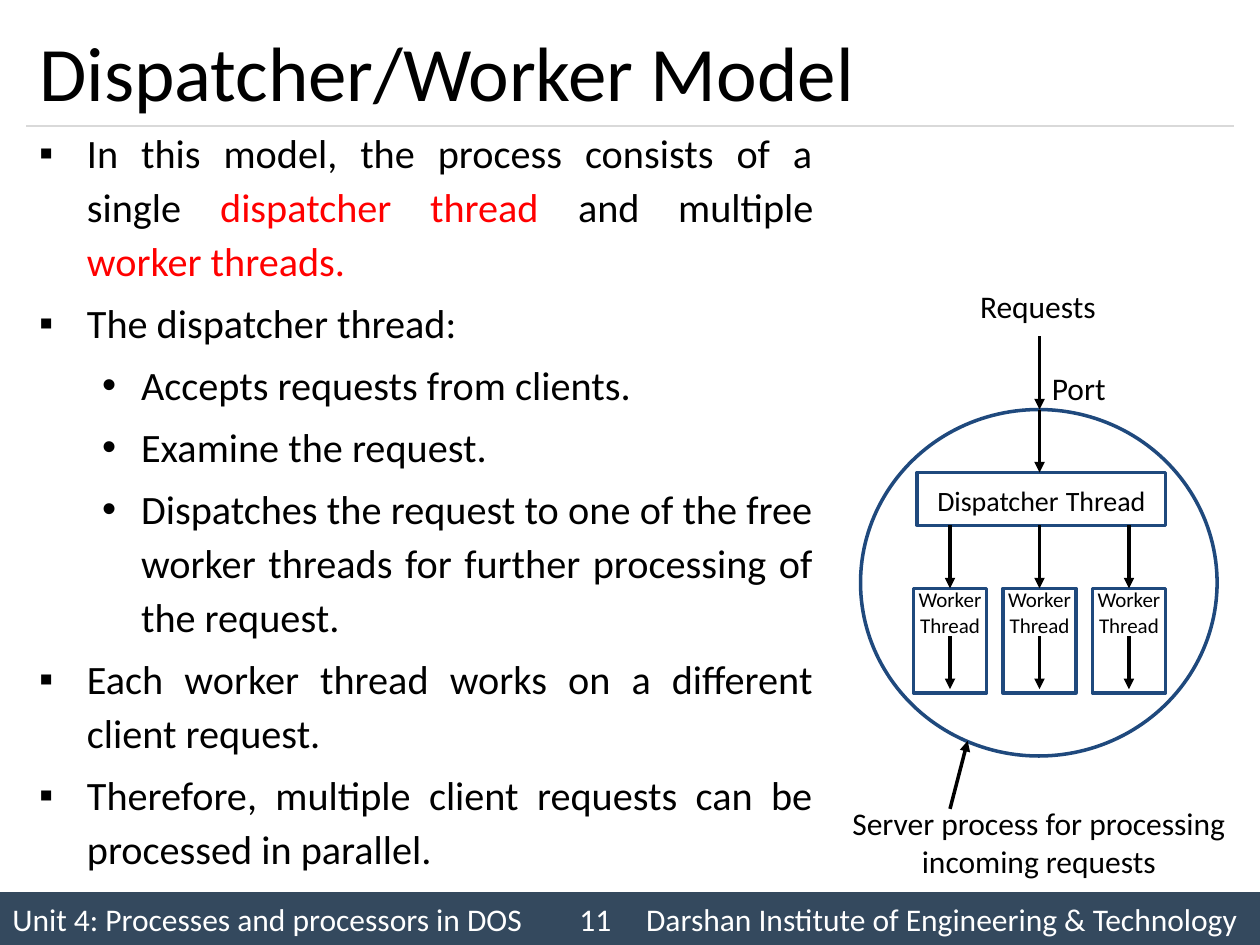
from pptx import Presentation
from pptx.dml.color import RGBColor
from pptx.enum.shapes import MSO_CONNECTOR, MSO_SHAPE
from pptx.enum.text import MSO_ANCHOR, MSO_AUTO_SIZE, PP_ALIGN
from pptx.oxml.ns import qn
from pptx.util import Pt
from lxml.etree import SubElement

EMU_PER_PX = 9144
BLACK, WHITE, RED, NAVY = "000000", "FFFFFF", "FF0000", "1F497D"
SLATE, GREY = "34495E", "D9D9D9"


def px(length):
    """Turn px (100 to the inch) into EMU."""
    return length * EMU_PER_PX


def color(hex_code):
    """Turn a hex string into a colour."""
    return RGBColor.from_string(hex_code)


class SlideBuilder:
    """Hold the style and the current slide."""

    font_name = "Calibri"

    def __init__(self, slide):
        self.slide = slide

    def style(self, paragraph, size, hex_code=BLACK, align=PP_ALIGN.LEFT):
        """Set the alignment and font of a paragraph."""
        paragraph.alignment = align
        font = paragraph.font
        font.name, font.size, font.bold = self.font_name, Pt(size), False
        font.color.rgb = color(hex_code)

    def spaced_words(self, paragraph, words, size):
        """Write centred words parted by a slightly larger space."""
        self.style(paragraph, size, align=PP_ALIGN.CENTER)
        first, second = words.split()
        for word in (first, " ", second):
            run = paragraph.add_run()
            run.text = word
            run.font.size = Pt(size + 2 if word == " " else size)

    def place(self, holder, left, top, width, height):
        """Move and resize a placeholder."""
        holder.left, holder.top = px(left), px(top)
        holder.width, holder.height = px(width), px(height)
        holder.text_frame.auto_size = MSO_AUTO_SIZE.NONE
        return holder.text_frame

    def title(self, words, *box):
        """Fill the title placeholder."""
        frame = self.place(self.slide.shapes.title, *box)
        frame.vertical_anchor = MSO_ANCHOR.MIDDLE
        frame.text = words
        self.style(frame.paragraphs[0], 44)

    def bullets(self, items, *box):
        """Fill the body placeholder with (level, runs) items."""
        frame = self.place(self.slide.placeholders[1], *box)
        frame.vertical_anchor = MSO_ANCHOR.TOP
        looks = [("▪", 38, 38), ("•", 81, 31)]
        for index, (level, runs) in enumerate(items):
            paragraph = frame.add_paragraph() if index else frame.paragraphs[0]
            paragraph.level = level
            paragraph.line_spacing = 1.12
            paragraph.space_before = Pt(4.6 if index else 0)
            mark, margin, hang = looks[level]
            properties = paragraph._p.get_or_add_pPr()
            properties.set("marL", str(px(margin)))
            properties.set("indent", str(-px(hang)))
            SubElement(properties, qn("a:buChar")).set("char", mark)
            self.style(paragraph, 23, align=PP_ALIGN.JUSTIFY)
            for words, hex_code in runs:
                run = paragraph.add_run()
                run.text = words
                run.font.color.rgb = color(hex_code)

    def shape(self, kind, left, top, width, height, fill=WHITE, line=NAVY):
        """Add a filled preset shape and return its text frame."""
        shape = self.slide.shapes.add_shape(
            kind, px(left), px(top), px(width), px(height))
        shape.shadow.inherit = False
        shape.fill.solid()
        shape.fill.fore_color.rgb = color(fill)
        if line:
            shape.line.color.rgb = color(line)
            shape.line.width = Pt(2)
        else:
            shape.line.fill.background()
        shape.text_frame.vertical_anchor = MSO_ANCHOR.MIDDLE
        return shape.text_frame

    def footer(self, parts, stops, *box):
        """Add the footer band with its parts on tab stops."""
        frame = self.shape(MSO_SHAPE.RECTANGLE, *box, fill=SLATE, line=None)
        frame.word_wrap = False
        paragraph = frame.paragraphs[0]
        tabs = SubElement(paragraph._p.get_or_add_pPr(), qn("a:tabLst"))
        for stop in stops:
            tab = SubElement(tabs, qn("a:tab"))
            tab.set("pos", str(px(stop)))
            tab.set("algn", "l")
        paragraph.add_run().text = "\t".join(parts)
        self.style(paragraph, 18, WHITE)

    def label(self, left, top, width, height, wrap=True):
        """Add a text box and return its paragraph."""
        box = self.slide.shapes.add_textbox(
            px(left), px(top), px(width), px(height))
        box.text_frame.word_wrap = wrap
        return box.text_frame.paragraphs[0]

    def caption(self, words, *box, wrap=True, align=PP_ALIGN.LEFT):
        """Add a text box with one plain caption."""
        paragraph = self.label(*box, wrap=wrap)
        paragraph.add_run().text = words
        self.style(paragraph, 18, align=align)

    def line(self, x1, y1, x2, y2, hex_code=BLACK, width=2, arrow=True):
        """Add a straight line, with an arrowhead at its end if wanted."""
        connector = self.slide.shapes.add_connector(
            MSO_CONNECTOR.STRAIGHT, px(x1), px(y1), px(x2), px(y2))
        connector.line.color.rgb = color(hex_code)
        connector.line.width = Pt(width)
        if arrow:
            outline = connector.line._get_or_add_ln()
            SubElement(outline, qn("a:tailEnd")).set("type", "triangle")
        SubElement(connector._element.spPr, qn("a:effectLst"))


def main():
    """Build the slide and save it."""
    deck = Presentation()
    deck.slide_width, deck.slide_height = px(1000), px(750)
    build = SlideBuilder(deck.slides.add_slide(deck.slide_layouts[1]))

    build.footer(
        ["Unit 4: Processes and processors in DOS", "11",
         "Darshan Institute of Engineering & Technology"],
        [450, 503], 0, 708, 1000, 42)
    build.line(21, 100, 979, 100, GREY, 0.75, arrow=False)
    build.title("Dispatcher/Worker Model", 21, 12, 958, 88)
    build.bullets([
        (0, [("In this model, the process consists of a single ", BLACK),
             ("dispatcher thread ", RED), ("and multiple ", BLACK),
             ("worker threads.", RED)]),
        (0, [("The dispatcher thread:", BLACK)]),
        (1, [("Accepts requests from clients.", BLACK)]),
        (1, [("Examine the request.", BLACK)]),
        (1, [("Dispatches the request to one of the free worker threads "
              "for further processing of the request.", BLACK)]),
        (0, [("Each worker thread works on a different client request.",
              BLACK)]),
        (0, [("Therefore, multiple client requests can be processed in "
              "parallel.", BLACK)]),
    ], 21, 92, 635, 625)

    build.shape(MSO_SHAPE.OVAL, 683, 325, 283, 275)
    dispatcher = build.shape(MSO_SHAPE.RECTANGLE, 728, 375, 197, 42)
    build.spaced_words(dispatcher.paragraphs[0], "Dispatcher Thread", 16)
    build.line(825, 267, 825, 325)
    build.line(825, 325, 825, 375)
    for worker_left in range(725, 868, 71):
        center = worker_left + 29
        build.shape(MSO_SHAPE.RECTANGLE, worker_left, 467, 58, 83)
        build.line(center, 417, center, 467)
        build.line(center, 505, center, 547)
        worker = build.label(center - 36, 458, 72, 54)
        build.spaced_words(worker, "Worker Thread", 12)

    build.caption("Port", 825, 288, 63, 40, wrap=False)
    build.caption("Requests", 768, 223, 113, 40, wrap=False)
    build.caption("Server process for processing incoming requests",
                  660, 633, 329, 71, align=PP_ALIGN.CENTER)
    build.line(754, 642, 768, 588)
    deck.save("out.pptx")


if __name__ == "__main__":
    main()
